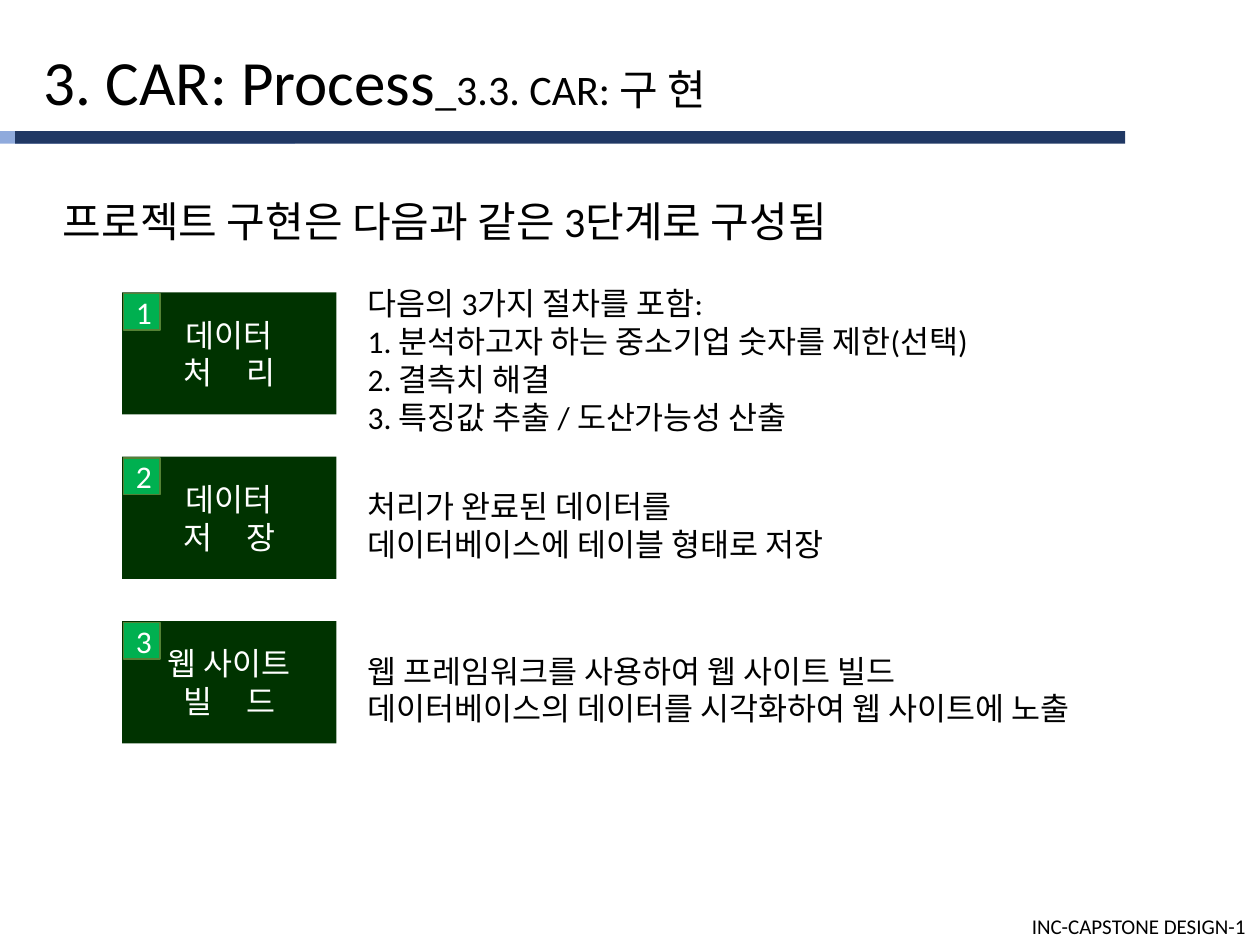
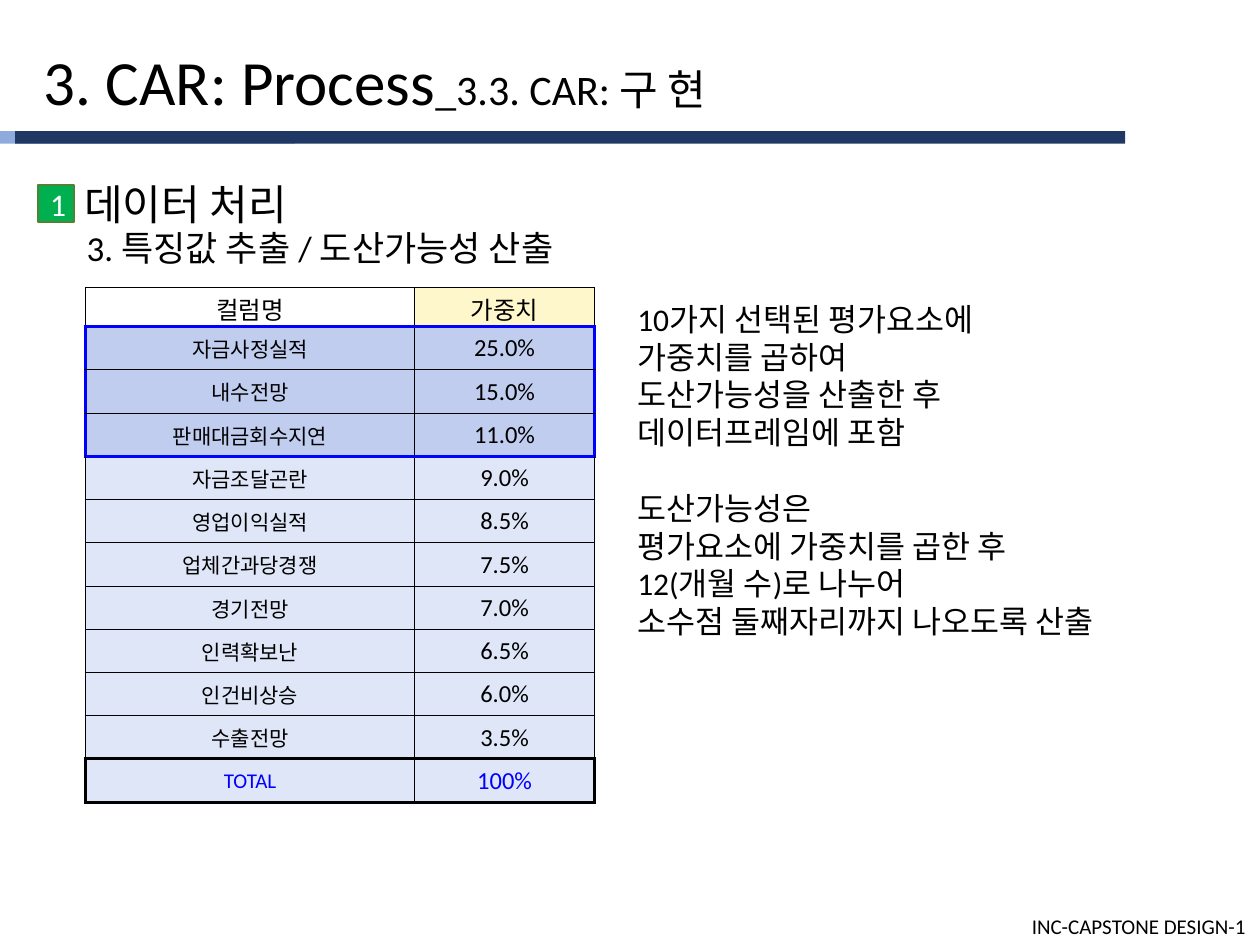
import pptx
import pptx.dml.color
import pptx.enum.shapes
import pptx.enum.text
import pptx.oxml
import pptx.oxml.ns
import pptx.util
from lxml import etree

Inches = pptx.util.Inches
Pt = pptx.util.Pt
RGBColor = pptx.dml.color.RGBColor
ALIGN = pptx.enum.text.PP_ALIGN
ANCHOR = pptx.enum.text.MSO_ANCHOR
qn = pptx.oxml.ns.qn

BLACK = RGBColor(0, 0, 0)
WHITE = RGBColor(0xFF, 0xFF, 0xFF)
BLUE = RGBColor(0, 0, 0xFF)
BAND_LIGHT = RGBColor(0x8F, 0xAA, 0xDC)
BAND_DARK = RGBColor(0x20, 0x38, 0x64)
STEP_GREEN = RGBColor(0, 0x33, 0)
BADGE_GREEN = RGBColor(0, 0xB0, 0x50)
BADGE_EDGE = RGBColor(0x54, 0x82, 0x35)
HEADER_YELLOW = RGBColor(0xFF, 0xF7, 0xCC)
TOP_FILL = RGBColor(0xC0, 0xCD, 0xEF)
ROW_FILL = RGBColor(0xDF, 0xE6, 0xF7)
FONT = "Calibri"

TITLE = [("3. CAR: Process", 36), ("_3.3. CAR: 구 현", 24)]
FOOTER = "INC-CAPSTONE DESIGN-1"

OVERVIEW = "프로젝트 구현은 다음과 같은 3단계로 구성됨"
STEPS = [
    (["데이터", "처\t리"], [
        "다음의 3가지 절차를 포함:",
        "1. 분석하고자 하는 중소기업 숫자를 제한(선택)",
        "2. 결측치 해결",
        "3. 특징값 추출 / 도산가능성 산출"]),
    (["데이터", "저\t장"], [
        "처리가 완료된 데이터를",
        "데이터베이스에 테이블 형태로 저장"]),
    (["웹 사이트", "빌\t드"], [
        "웹 프레임워크를 사용하여 웹 사이트 빌드",
        "데이터베이스의 데이터를 시각화하여 웹 사이트에 노출"]),
]

HEADING = "데이터 처리"
SUBHEADING = "3. 특징값 추출 / 도산가능성 산출"
WEIGHTS = [
    ("컬럼명", "가중치"),
    ("자금사정실적", "25.0%"),
    ("내수전망", "15.0%"),
    ("판매대금회수지연", "11.0%"),
    ("자금조달곤란", "9.0%"),
    ("영업이익실적", "8.5%"),
    ("업체간과당경쟁", "7.5%"),
    ("경기전망", "7.0%"),
    ("인력확보난", "6.5%"),
    ("인건비상승", "6.0%"),
    ("수출전망", "3.5%"),
    ("TOTAL", "100%"),
]
TOP_ROWS = range(1, 4)
TOTAL_ROW = len(WEIGHTS) - 1
EXPLANATION = [
    ["10가지 선택된 평가요소에", "가중치를 곱하여",
     "도산가능성을 산출한 후", "데이터프레임에 포함"],
    ["도산가능성은", "평가요소에 가중치를 곱한 후",
     "12(개월 수)로 나누어", "소수점 둘째자리까지 나오도록 산출"],
]


def write(frame, lines, size=18, color=BLACK, align=ALIGN.LEFT,
          anchor=ANCHOR.TOP, wrap=True, spacing=None):
    """Fill a text frame; a line is a string or a list of (text, size)."""
    frame.word_wrap = wrap
    frame.vertical_anchor = anchor
    for index, line in enumerate(lines):
        para = frame.paragraphs[0] if index == 0 else frame.add_paragraph()
        para.alignment = align
        if spacing:
            para.line_spacing = spacing
        for text, span_size in ([(line, size)] if isinstance(line, str) else line):
            span = para.add_run()
            span.text = text
            span.font.size = Pt(span_size)
            span.font.name = FONT
            span.font.color.rgb = color


def add_text(page, at, lines, **style):
    box = page.shapes.add_textbox(*map(Inches, at))
    write(box.text_frame, lines, **style)
    return box


def add_block(page, at, fill, lines=(), edge=None):
    block = page.shapes.add_shape(
        pptx.enum.shapes.MSO_SHAPE.RECTANGLE, *map(Inches, at))
    block.shadow.inherit = False
    block.fill.solid()
    block.fill.fore_color.rgb = fill
    if edge is None:
        block.line.fill.background()
    else:
        block.line.color.rgb = edge
        block.line.width = Pt(1)
    write(block.text_frame, lines, color=WHITE, align=ALIGN.CENTER,
          anchor=ANCHOR.MIDDLE)
    return block


def add_badge(page, left, top, number):
    add_block(page, (left, top, 0.29, 0.29), BADGE_GREEN, [str(number)], BADGE_EDGE)


def set_tab(para, position):
    tabs = etree.SubElement(para._p.get_or_add_pPr(), qn("a:tabLst"))
    etree.SubElement(tabs, qn("a:tab"), pos=str(position), algn="l")


def add_page(deck):
    """Add a page with the shared bands, footer and title."""
    page = deck.slides.add_slide(deck.slide_layouts[6])
    add_block(page, (0, 1.04, 2.34, 0.1), BAND_LIGHT)
    add_block(page, (0.12, 1.04, 8.81, 0.1), BAND_DARK)
    add_text(page, (8.09, 7.2, 1.91, 0.3), [FOOTER], size=12, wrap=False)
    add_text(page, (0.25, 0.29, 9.42, 1.11), [TITLE])
    return page


def build_steps(page):
    add_text(page, (0.4, 1.5, 8.21, 0.5), [OVERVIEW], size=24)
    height = 0.97
    for index, (name, details) in enumerate(STEPS):
        top = 2.32 + index * 1.305
        step = add_block(page, (0.97, top, 1.7, height), STEP_GREEN, name)
        set_tab(step.text_frame.paragraphs[1], Inches(0.5))
        add_badge(page, 0.98, top + 0.01, index + 1)
        detail_height = 0.1 + 0.303 * len(details)
        detail_top = top + (height - detail_height) / 2 + 0.06
        add_text(page, (2.82, detail_top, 6.57, detail_height), details)


def draw_border(cell, side, color, width):
    line = etree.SubElement(cell._tc.get_or_add_tcPr(), qn("a:ln" + side),
                            w=str(Pt(width)))
    fill = etree.SubElement(line, qn("a:solidFill"))
    etree.SubElement(fill, qn("a:srgbClr"), val=str(color))


def draw_borders(cell, row, column):
    """Thin grid, with heavy frames round the top rows and the total."""
    thin = (BLACK, 0.28)
    frames = {BLUE: TOP_ROWS, BLACK: range(TOTAL_ROW, TOTAL_ROW + 1)}
    across, outer = {}, {}
    for color, rows in frames.items():
        across.update({rows.start: (color, 1.98), rows.stop: (color, 1.98)})
        outer.update({framed: (color, 1.98) for framed in rows})
    side = outer.get(row, thin)
    draw_border(cell, "L", *(side if column == 0 else thin))
    draw_border(cell, "R", *(side if column == 1 else thin))
    draw_border(cell, "T", *across.get(row, thin))
    draw_border(cell, "B", *across.get(row + 1, thin))


def fill_cell(cell, row, column):
    if row == column == 0:
        cell.fill.background()
        return
    cell.fill.solid()
    cell.fill.fore_color.rgb = (
        HEADER_YELLOW if row == 0 else TOP_FILL if row in TOP_ROWS else ROW_FILL)


def add_weight_table(page):
    table = page.shapes.add_table(
        len(WEIGHTS), 2, *map(Inches, (0.68, 2.28, 4.04, 4.09))).table
    table.first_row = table.horz_banding = False
    for column, width in enumerate((2.61, 1.43)):
        table.columns[column].width = Inches(width)
    for row, values in enumerate(WEIGHTS):
        table.rows[row].height = Inches(0.31 if row == 0 else 3.78 / TOTAL_ROW)
        for column, value in enumerate(values):
            cell = table.cell(row, column)
            cell.margin_left = cell.margin_right = Inches(0.07)
            cell.margin_top = cell.margin_bottom = Inches(0.02)
            write(cell.text_frame, [value],
                  size=12 if row and column == 0 else 14,
                  color=BLUE if row == TOTAL_ROW else BLACK,
                  align=ALIGN.CENTER, spacing=1.03)
            cell.vertical_anchor = ANCHOR.MIDDLE
            draw_borders(cell, row, column)
            fill_cell(cell, row, column)


def build_weights(page):
    add_text(page, (0.57, 1.37, 9.13, 0.5), [HEADING], size=24)
    add_badge(page, 0.3, 1.47, 1)
    add_text(page, (0.59, 1.75, 8.07, 0.44), [SUBHEADING], size=20)
    add_weight_table(page)
    first, second = EXPLANATION
    box = add_text(page, (4.96, 2.33, 4.16, 2.83), first + second)
    box.text_frame.paragraphs[len(first)].space_before = Pt(21.6)


def main():
    deck = pptx.Presentation()
    deck.slide_width, deck.slide_height = Inches(10), Inches(7.5)
    build_steps(add_page(deck))
    build_weights(add_page(deck))
    deck.save("out.pptx")


if __name__ == "__main__":
    main()
